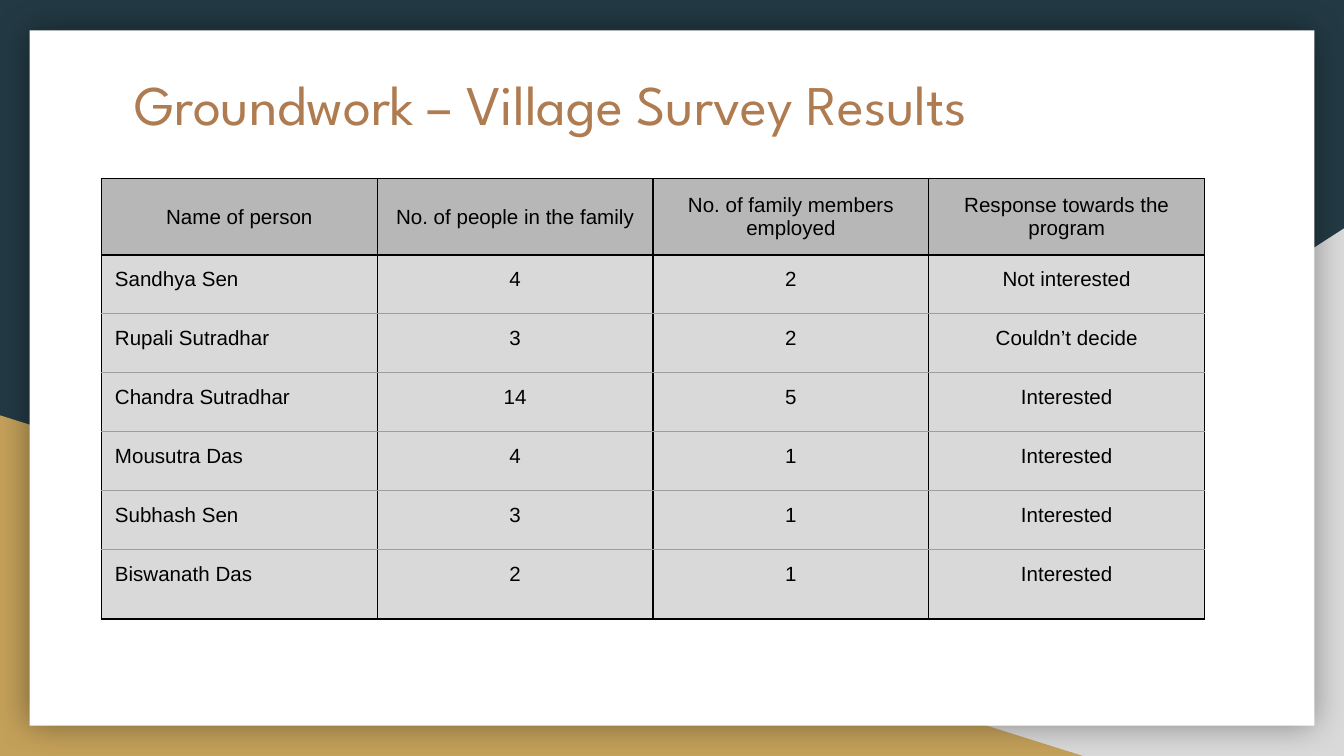
from pptx import Presentation
from pptx.dml.color import RGBColor
from pptx.enum.shapes import MSO_SHAPE as SHAPE
from pptx.enum.text import MSO_ANCHOR as ANCHOR, PP_ALIGN as ALIGN
from pptx.oxml import parse_xml
from pptx.oxml.ns import nsdecls
from pptx.util import Inches, Pt

COLS, ROWS = 100, 56.25  # grid of 0.1 inch cells
BLACK, GREY = "000000", "9E9E9E"
HEADER = ["Name of person", "No. of people in the family",
          "No. of family members employed", "Response towards the program"]
SURVEY = [
    ["Sandhya Sen", "4", "2", "Not interested"],
    ["Rupali Sutradhar", "3", "2", "Couldn’t decide"],
    ["Chandra Sutradhar", "14", "5", "Interested"],
    ["Mousutra Das", "4", "1", "Interested"],
    ["Subhash Sen", "3", "1", "Interested"],
    ["Biswanath Das", "2", "1", "Interested"],
]


def rgb(color):
    return RGBColor.from_string(color)


def set_all(obj, values):
    for name, value in values.items():
        setattr(obj, name, value)


class Deck:
    margins = {f"margin_{side}": Inches(0.1)
               for side in ("left", "top", "right", "bottom")}
    title_font = {"name": "League Spartan", "size": Pt(30)}
    cell_font = {"name": "Arial", "size": Pt(11)}

    def __init__(self):
        self.prs = Presentation()
        set_all(self.prs, {"slide_width": Inches(10), "slide_height": Inches(5.625)})
        self.s = self.prs.slides.add_slide(self.prs.slide_layouts[6])

    def x(self, cols):
        return round(self.prs.slide_width * cols / COLS)

    def y(self, rows):
        return round(self.prs.slide_height * rows / ROWS)

    def box(self, left, top, width, height):
        return self.x(left), self.y(top), self.x(width), self.y(height)

    def background(self, color):
        fill = self.s.background.fill
        fill.solid()
        fill.fore_color.rgb = rgb(color)

    def shape(self, kind, grid, color, flip=False, glow=False):
        """Add a borderless shape; glow gives it a soft shadow on all sides."""
        sp = self.s.shapes.add_shape(kind, *self.box(*grid))
        sp.shadow.inherit = False
        sp.fill.solid()
        sp.fill.fore_color.rgb = rgb(color)
        sp.line.fill.background()
        spPr = sp._element.spPr
        if flip:
            spPr.xfrm.set("flipH", "1")
        if glow:
            spPr.remove(spPr[-1])
            spPr.append(parse_xml(
                f'<a:effectLst {nsdecls("a")}>'
                f'<a:outerShdw blurRad="{Pt(18)}" dist="0" algn="ctr" rotWithShape="0">'
                f'<a:srgbClr val="{BLACK}"><a:alpha val="40000"/></a:srgbClr>'
                '</a:outerShdw></a:effectLst>'))

    def add_text(self, p, text, font, color, align=ALIGN.LEFT):
        p.alignment = align
        r = p.add_run()
        r.text = text
        set_all(r.font, font)
        r.font.color.rgb = rgb(color)

    def title(self, text, grid, color):
        tf = self.s.shapes.add_textbox(*self.box(*grid)).text_frame
        set_all(tf, {"word_wrap": True, "vertical_anchor": ANCHOR.TOP, **self.margins})
        self.add_text(tf.paragraphs[0], text, self.title_font, color)

    def border(self, cell, top, bottom):
        """Draw black sides and the given top and bottom lines."""
        tcPr = cell._tc.get_or_add_tcPr()
        sides = {"lnL": BLACK, "lnR": BLACK, "lnT": top, "lnB": bottom}
        for i, (tag, color) in enumerate(sides.items()):
            tcPr.insert(i, parse_xml(
                f'<a:{tag} {nsdecls("a")} w="{Pt(0.75)}"><a:solidFill>'
                f'<a:srgbClr val="{color}"/></a:solidFill></a:{tag}>'))

    def table(self, left, top, col_width, heights, data):
        grid = left, top, col_width * len(data[0]), sum(heights)
        table = self.s.shapes.add_table(len(data), len(data[0]), *self.box(*grid)).table
        set_all(table, {"first_row": False, "horz_banding": False})
        for column in table.columns:
            column.width = self.x(col_width)
        for i, (height, texts) in enumerate(zip(heights, data)):
            table.rows[i].height = self.y(height)
            head, last = i == 0, i == len(data) - 1
            for j, text in enumerate(texts):
                cell = table.cell(i, j)
                set_all(cell, {"vertical_anchor": ANCHOR.MIDDLE if head else ANCHOR.TOP,
                               **self.margins})
                cell.fill.solid()
                cell.fill.fore_color.rgb = rgb("B7B7B7" if head else "D9D9D9")
                self.border(cell, BLACK if i < 2 else GREY, BLACK if head or last else GREY)
                self.add_text(cell.text_frame.paragraphs[0], text, self.cell_font, BLACK,
                              ALIGN.CENTER if head or j else ALIGN.LEFT)


def main():
    deck = Deck()
    deck.background("233A44")
    deck.shape(SHAPE.RIGHT_TRIANGLE, (39.2, 17, 60.8, 39.25), "D9D9D9", flip=True)
    deck.shape(SHAPE.RIGHT_TRIANGLE, (0, 30.9, 80.6, 25.35), "C4A15A")
    deck.shape(SHAPE.RECTANGLE, (2.2, 2.25, 95.6, 51.75), "FFFFFF", glow=True)
    deck.title("Groundwork – Village Survey Results", (9, 4.2, 82.1, 6), "AF7B51")
    deck.table(7.55, 13.3, 20.52, [5.35] + [4.38] * 5 + [5.2], [HEADER] + SURVEY)
    deck.prs.save("out.pptx")


if __name__ == "__main__":
    main()
